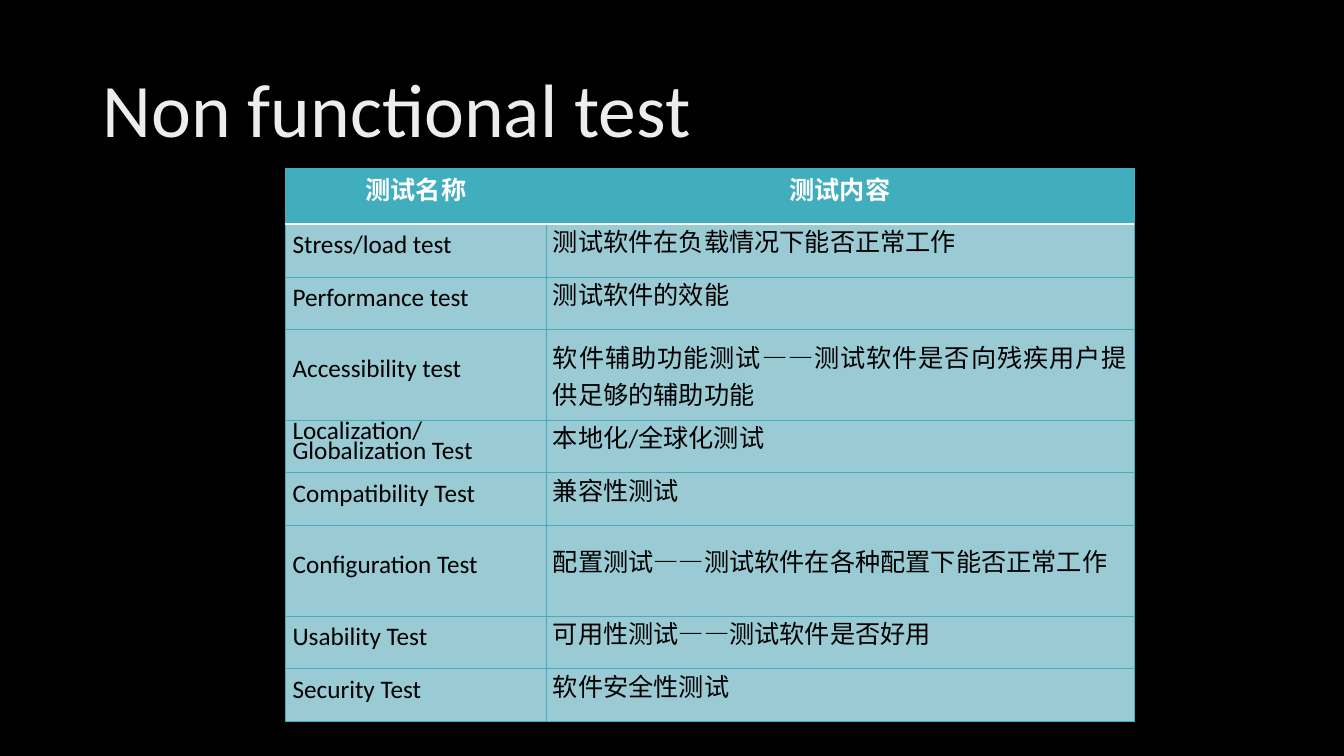
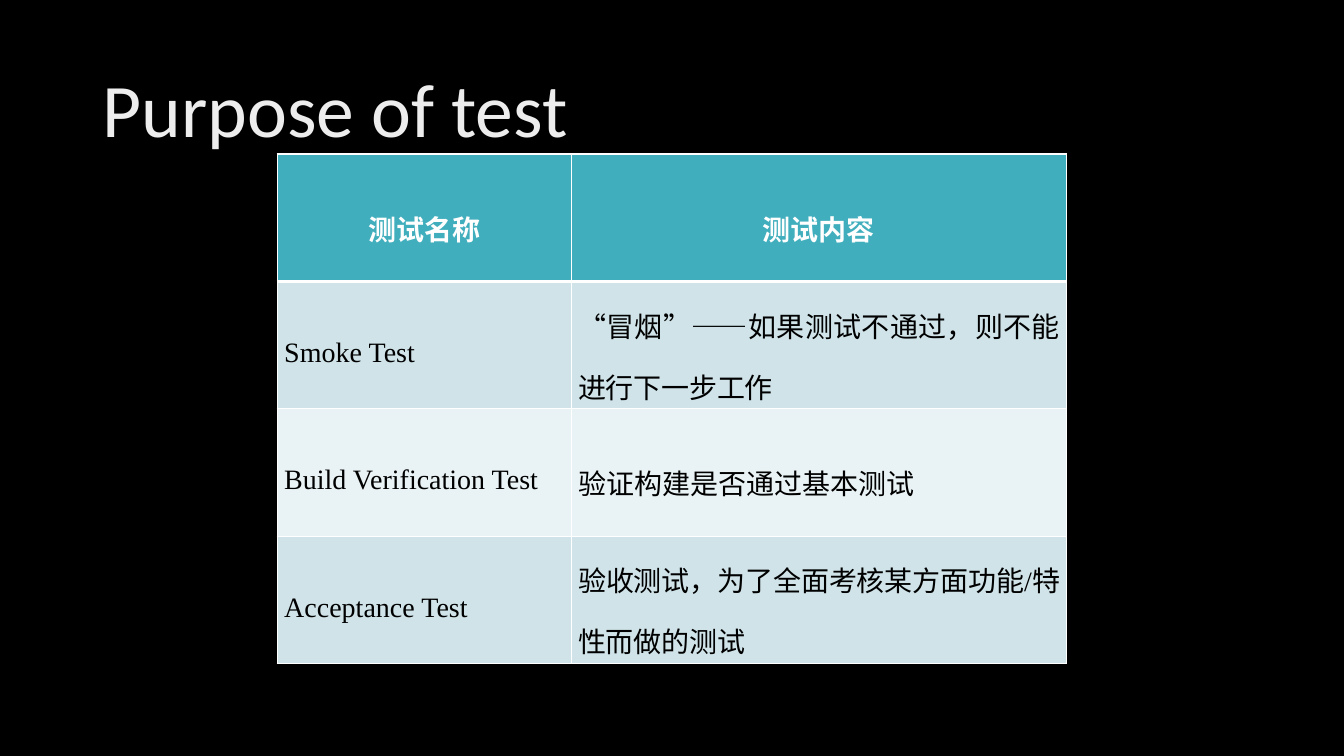
from dataclasses import dataclass

from lxml import etree
from pptx import Presentation
from pptx import util as u
from pptx.dml import color
from pptx.enum import lang, text
from pptx.oxml import ns

COLOURS = {
    "background": "000000",
    "title": "EDEDED",
    "header": "41AEBD",
    "header_text": "FFFFFF",
    "body_text": "000000",
    "white": "FFFFFF",
    "body": "9ACBD4",
    "band_dark": "CFE3E8",
    "band_light": "E9F2F4",
}
CHINESE = lang.MSO_LANGUAGE_ID.SIMPLIFIED_CHINESE
ENGLISH = lang.MSO_LANGUAGE_ID.ENGLISH_US
HEADINGS = ("测试名称", "测试内容")


@dataclass(frozen=True)
class Border:
    colour: str
    width: float


@dataclass(frozen=True)
class TestRow:
    name: str
    description: str
    height: float
    description_spacing: float | u.Pt
    character_spacing: float = 0


@dataclass(frozen=True)
class TableStyle:
    size: float
    header_font: str
    body_font: str
    header_height: float
    header_spacing: float | u.Pt
    name_spacing: float | u.Pt
    bands: tuple[str, ...]
    grid: Border
    header_line: Border
    dash_spacing: float = 0


@dataclass(frozen=True)
class TestSlide:
    title: str
    left: float
    top: float
    columns: tuple[float, float]
    style: TableStyle
    rows: tuple[TestRow, ...]


def low(name: str, description: str) -> TestRow:
    return TestRow(name, description, 37.8, u.Pt(12))


def tall(name: str, description: str, spacing: float | u.Pt) -> TestRow:
    return TestRow(name, description, 64.4, spacing)


def purpose(name: str, description: str, character_spacing: float = 0) -> TestRow:
    return TestRow(name, description, 91, 1.5, character_spacing)


SLIDES = (
    TestSlide(
        "Non functional test", 204, 120, (186, 420),
        TableStyle(
            size=18, header_font="Calibri", body_font="Calibri",
            header_height=40, header_spacing=u.Pt(15), name_spacing=u.Pt(14),
            bands=("body",), grid=Border("header", 0.5),
            header_line=Border("white", 1), dash_spacing=-1,
        ),
        (
            low("Stress/load test", "测试软件在负载情况下能否正常工作"),
            low("Performance test", "测试软件的效能"),
            tall("Accessibility test",
                 "软件辅助功能测试——测试软件是否向残疾用户提供足够的辅助功能", 1.0),
            low("Localization/Globalization Test", "本地化/全球化测试"),
            low("Compatibility Test", "兼容性测试"),
            tall("Configuration Test",
                 "配置测试——测试软件在各种配置下能否正常工作", u.Pt(12)),
            low("Usability Test", "可用性测试——测试软件是否好用"),
            low("Security Test", "软件安全性测试"),
        ),
    ),
    TestSlide(
        "Purpose of test", 198, 110, (210, 354),
        TableStyle(
            size=20, header_font="Arial", body_font="Times New Roman",
            header_height=91, header_spacing=1.5, name_spacing=1.5,
            bands=("band_dark", "band_light"), grid=Border("white", 1),
            header_line=Border("white", 3),
        ),
        (
            purpose("Smoke Test", "“冒烟”——如果测试不通过，则不能进行下一步工作", -0.2),
            purpose("Build Verification Test", "验证构建是否通过基本测试"),
            purpose("Acceptance Test", "验收测试，为了全面考核某方面功能/特性而做的测试", -0.2),
        ),
    ),
)


def rgb(name: str) -> color.RGBColor:
    return color.RGBColor.from_string(COLOURS[name])


def write_text(frame, content: str, *, font: str, size: float, colour: str,
               alignment, line_spacing, bold: bool = False, language=ENGLISH,
               margin: float = 0, character_spacing: float = 0,
               dash_spacing: float = 0) -> None:
    """Fill the first paragraph; dash_spacing tightens only the first dash."""
    paragraph = frame.paragraphs[0]
    paragraph.alignment = alignment
    paragraph.line_spacing = line_spacing
    paragraph.space_before = paragraph.space_after = u.Pt(margin)
    parts = content.partition("—") if dash_spacing else (content,)
    for part in filter(None, parts):
        run = paragraph.add_run()
        run.text = part
        run.font.name = font
        run.font.size = u.Pt(size)
        run.font.bold = bold
        run.font.color.rgb = rgb(colour)
        run.font.language_id = language
        spacing = dash_spacing if part == "—" else character_spacing
        if spacing:
            run.font._element.set("spc", str(round(spacing * 100)))


def set_borders(cell, borders: dict[str, Border]) -> None:
    properties = cell._tc.get_or_add_tcPr()
    for side in "LRTB":
        border = borders[side]
        line = etree.SubElement(properties, ns.qn(f"a:ln{side}"),
                                w=str(u.Pt(border.width)))
        fill = etree.SubElement(line, ns.qn("a:solidFill"))
        etree.SubElement(fill, ns.qn("a:srgbClr"), val=COLOURS[border.colour])


def format_cell(cell, fill: str, borders: dict[str, Border]) -> None:
    set_borders(cell, borders)
    cell.fill.solid()
    cell.fill.fore_color.rgb = rgb(fill)
    cell.vertical_anchor = text.MSO_ANCHOR.MIDDLE
    cell.margin_left = cell.margin_right = u.Pt(5)
    cell.margin_top = cell.margin_bottom = 0


def add_title(slide, content: str) -> None:
    title = slide.shapes.title
    title.left, title.top = u.Pt(66), u.Pt(28.75)
    title.width, title.height = u.Pt(828), u.Pt(104.4)
    frame = title.text_frame
    frame.auto_size = text.MSO_AUTO_SIZE.NONE
    frame.vertical_anchor = text.MSO_ANCHOR.MIDDLE
    write_text(frame, content, font="Calibri", size=54, colour="title",
               alignment=text.PP_ALIGN.LEFT, line_spacing=0.9)


def add_test_table(slide, content: TestSlide) -> None:
    style = content.style
    heights = [style.header_height, *(row.height for row in content.rows)]
    table = slide.shapes.add_table(
        len(heights), len(content.columns), u.Pt(content.left), u.Pt(content.top),
        u.Pt(sum(content.columns)), u.Pt(sum(heights))).table
    table.horz_banding = False
    for column, width in zip(table.columns, content.columns):
        column.width = u.Pt(width)
    for row, height in zip(table.rows, heights):
        row.height = u.Pt(height)

    grid = dict.fromkeys("LRTB", style.grid)
    for cell, heading in zip(table.rows[0].cells, HEADINGS):
        format_cell(cell, "header", grid | {"B": style.header_line})
        write_text(cell.text_frame, heading, font=style.header_font,
                   size=style.size, colour="header_text", bold=True,
                   alignment=text.PP_ALIGN.CENTER, language=CHINESE,
                   line_spacing=style.header_spacing)

    body_format = dict(font=style.body_font, size=style.size, colour="body_text",
                       alignment=text.PP_ALIGN.JUSTIFY)
    for index, test in enumerate(content.rows):
        borders = grid if index else grid | {"T": style.header_line}
        name_cell, description_cell = table.rows[index + 1].cells
        for cell in (name_cell, description_cell):
            format_cell(cell, style.bands[index % len(style.bands)], borders)
        write_text(name_cell.text_frame, test.name,
                   line_spacing=style.name_spacing, **body_format)
        write_text(description_cell.text_frame, test.description, margin=1.5,
                   line_spacing=test.description_spacing, language=CHINESE,
                   character_spacing=test.character_spacing,
                   dash_spacing=style.dash_spacing, **body_format)


def main() -> None:
    presentation = Presentation()
    presentation.slide_width, presentation.slide_height = u.Pt(960), u.Pt(540)
    background = presentation.slide_master.background.fill
    background.solid()
    background.fore_color.rgb = rgb("background")
    title_only = presentation.slide_layouts.get_by_name("Title Only")
    for content in SLIDES:
        slide = presentation.slides.add_slide(title_only)
        add_title(slide, content.title)
        add_test_table(slide, content)
    presentation.save("out.pptx")


if __name__ == "__main__":
    main()
